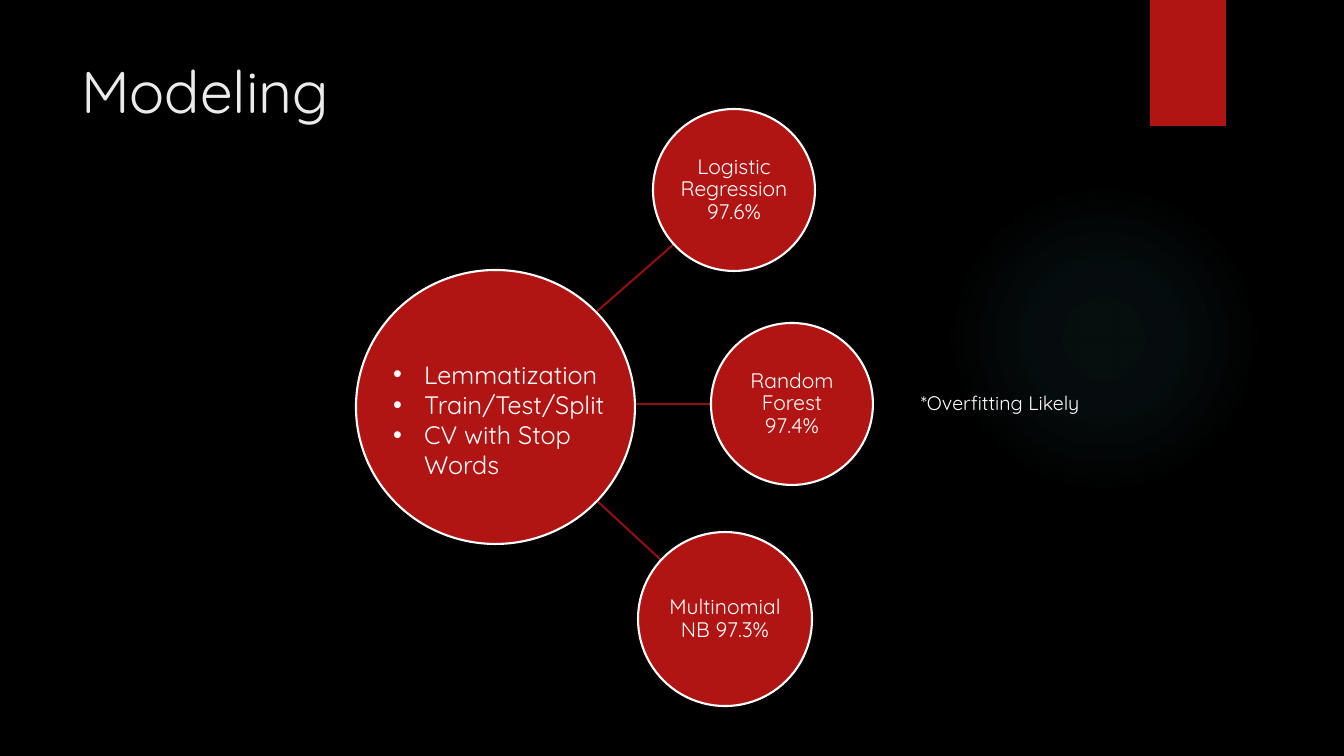
from lxml import etree
from pptx import Presentation
from pptx import util as u
from pptx.dml.color import RGBColor
from pptx.enum import shapes, text
from pptx.oxml.ns import qn

SCALE = 914400 / 100.8  # EMU in one px
BLACK = RGBColor(0x00, 0x00, 0x00)
WHITE = RGBColor(0xFF, 0xFF, 0xFF)
PALE = RGBColor(0xEB, 0xEB, 0xEB)
RED = RGBColor(0xB0, 0x15, 0x13)
DARK = RGBColor(0x8D, 0x11, 0x0F)
TEAL = RGBColor(0x50, 0xB9, 0xC1)
FONT = "Quicksand"
INDENT = 31

# left, top, size, label, spoke start, spoke end
MODELS = [
    (653, 109, 162, "Logistic Regression 97.6%", (594, 314), (674, 244)),
    (711, 323, 162, "Random Forest 97.4%", (594, 404), (711, 404)),
    (638, 532, 174, "Multinomial NB 97.3%", (594, 498), (661, 560)),
]
STEPS = ["Lemmatization", "Train/Test/Split", "CV with Stop Words"]


def px(n):
    return u.Emu(round(n * SCALE))


def put(item, **form):
    for name, value in form.items():
        setattr(item, name, value)


def place(item, left, top, width, height):
    put(item, left=px(left), top=px(top), width=px(width), height=px(height))


def write(shape, lines, size, color, frame, para):
    """Fill a text frame, one paragraph a line, with the given formats."""
    box = shape.text_frame
    box.text = "\n".join(lines)
    put(box, word_wrap=True, auto_size=text.MSO_AUTO_SIZE.NONE, **frame)
    for item in box.paragraphs:
        put(item, **para)
        put(item.font, name=FONT, size=u.Pt(size))
        item.font.color.rgb = color


def solid(slide, kind, box, line=None):
    shape = slide.shapes.add_shape(kind, *map(px, box))
    shape.shadow.inherit = False
    shape.fill.solid()
    shape.fill.fore_color.rgb = RED
    if line is None:
        shape.line.fill.background()
    else:
        shape.line.color.rgb = line
        shape.line.width = u.Pt(1.5)
    return shape


def circle(slide, box):
    return solid(slide, shapes.MSO_SHAPE.OVAL, box, WHITE)


def glow(slide, box):
    """Draw a round teal light that fades towards its rim."""
    shape = solid(slide, shapes.MSO_SHAPE.OVAL, box)
    grad = etree.Element(qn("a:gradFill"), rotWithShape="1")
    stops = etree.SubElement(grad, qn("a:gsLst"))
    for pos, alpha in [(0, 7), (36, 6), (69, 0)]:
        stop = etree.SubElement(stops, qn("a:gs"), pos=str(pos * 1000))
        tint = etree.SubElement(stop, qn("a:srgbClr"), val=str(TEAL))
        etree.SubElement(tint, qn("a:alpha"), val=str(alpha * 1000))
    ray = etree.SubElement(grad, qn("a:path"), path="circle")
    etree.SubElement(ray, qn("a:fillToRect"),
                     dict.fromkeys("ltrb", "50000"))
    props = shape.element.spPr
    props.replace(props.find(qn("a:solidFill")), grad)


def spoke(slide, start, end):
    line = slide.shapes.add_connector(
        shapes.MSO_CONNECTOR.STRAIGHT, *map(px, start + end))
    line.line.color.rgb = DARK
    line.line.width = u.Pt(1.5)
    etree.SubElement(line.element.spPr, qn("a:effectLst"))


def model(slide, left, top, size, label):
    shape = circle(slide, (left, top, size, size))
    edge = dict.fromkeys(
        ["margin_left", "margin_top", "margin_right", "margin_bottom"], px(1))
    write(shape, [label], 15, WHITE,
          dict(edge, vertical_anchor=text.MSO_ANCHOR.MIDDLE),
          dict(alignment=text.PP_ALIGN.CENTER, line_spacing=0.9))


def main():
    deck = Presentation()
    put(deck, slide_width=px(1344), slide_height=px(756))
    slide = deck.slides.add_slide(deck.slide_layouts[1])
    slide.background.fill.solid()
    slide.background.fill.fore_color.rgb = BLACK
    plain = dict(vertical_anchor=text.MSO_ANCHOR.TOP)
    left = dict(alignment=text.PP_ALIGN.LEFT, space_before=u.Pt(0))

    glow(slide, (949, 184, 310, 310))
    solid(slide, shapes.MSO_SHAPE.RECTANGLE, (1150, 0, 76, 126))
    title = slide.shapes.title
    place(title, 71, 50, 1037, 154)
    write(title, ["Modeling"], 42, PALE, plain, left)

    for *_, start, end in MODELS:
        spoke(slide, start, end)
    circle(slide, (356, 270, 279, 274))
    for x, y, size, label, *_ in MODELS:
        model(slide, x, y, size, label)

    steps = slide.placeholders[1]
    place(steps, 383, 354, 270, 132)
    write(steps, STEPS, 18, WHITE, plain, left)
    for item in steps.text_frame.paragraphs:
        props = item._p.get_or_add_pPr()
        props.set("marL", str(px(INDENT)))
        props.set("indent", str(px(-INDENT)))
    slide.shapes.element.append(steps.element)  # in front of the hub

    note = slide.shapes.add_textbox(*map(px, (911, 386, 236, 34)))
    write(note, ["*Overfitting Likely"], 14, WHITE, plain, left)
    deck.save("out.pptx")


if __name__ == "__main__":
    main()
